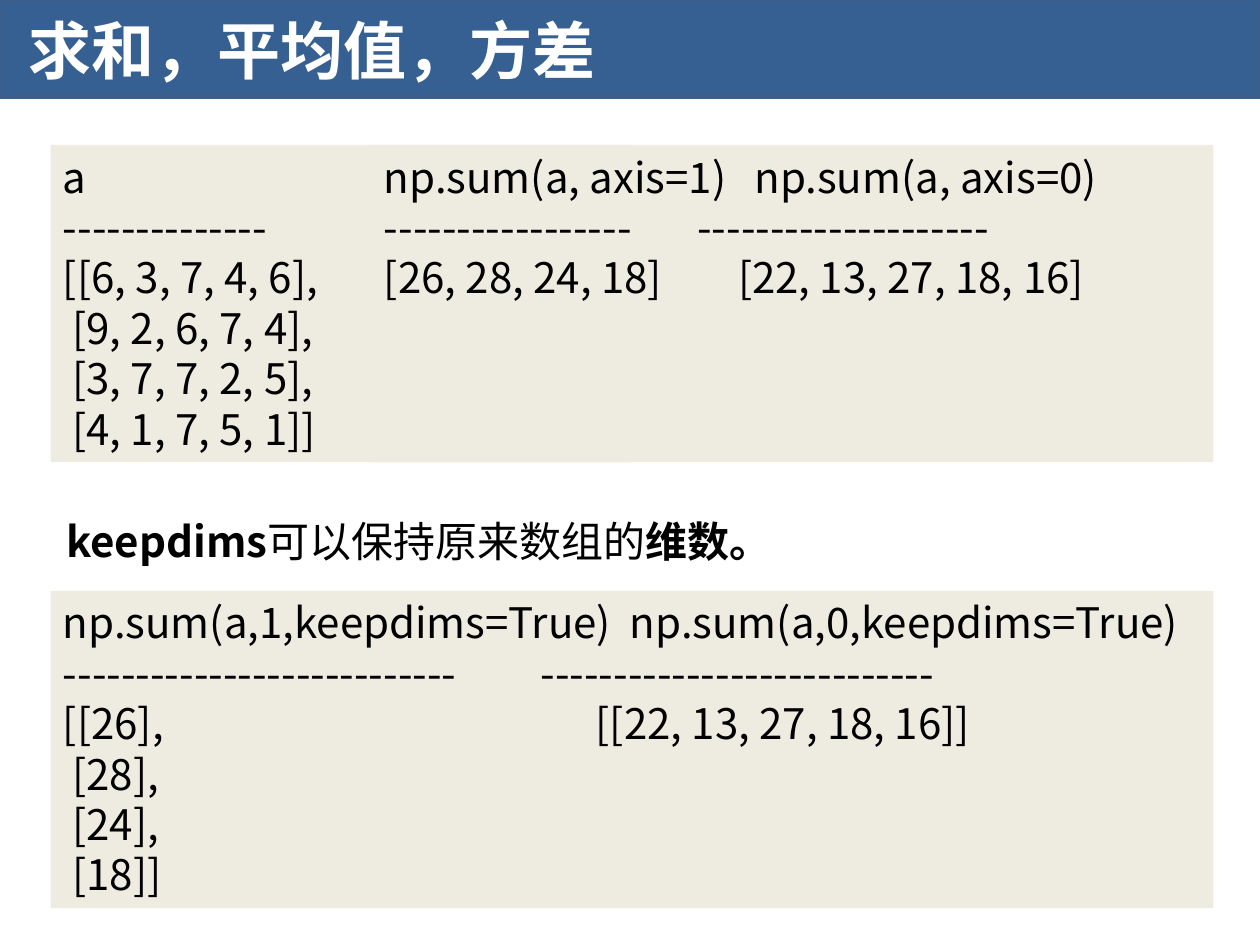
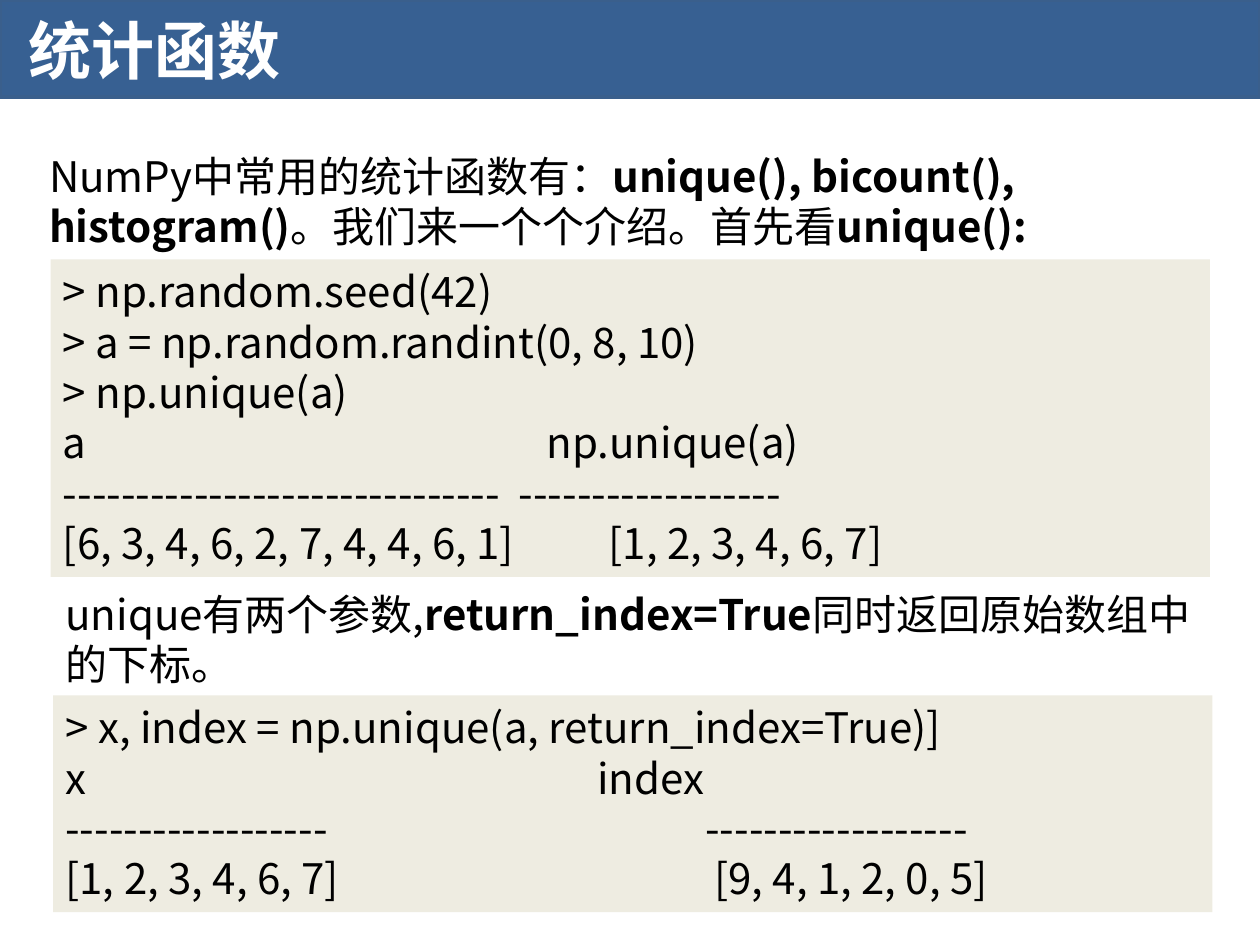
from lxml import etree
from pptx import Presentation
from pptx import util as u
from pptx.dml.color import RGBColor
from pptx.enum import shapes, text
from pptx.oxml.ns import qn

FONT = "Noto Sans CJK SC"
LINE_HEIGHT = 1.2
COLORS = {
    "band": "376092",
    "band_line": "3A5F8C",
    "panel": "EEECE1",
    "body": "000000",
    "title": "FFFFFF",
}
TITLE = {"size": 36, "color": "title"}
BODY = {"size": 24, "color": "body"}
FRAME = {
    "word_wrap": True,
    "auto_size": text.MSO_AUTO_SIZE.NONE,
    "vertical_anchor": text.MSO_ANCHOR.TOP,
}


def color(name):
    """Return the named colour."""
    return RGBColor.from_string(COLORS[name])


def set_attributes(target, values):
    """Set every attribute in a dict of format values."""
    for name, value in values.items():
        setattr(target, name, value)


def add_tab_stop(paragraph, position):
    """Give a paragraph one left tab stop, in centimetres."""
    properties = paragraph._p.get_or_add_pPr()
    stops = etree.SubElement(properties, qn("a:tabLst"))
    etree.SubElement(stops, qn("a:tab"), pos=str(u.Cm(position)), algn="l")


def add_runs(paragraph, runs, style):
    """Fill a paragraph with (wording, bold) runs."""
    set_attributes(paragraph, {
        "alignment": text.PP_ALIGN.LEFT,
        "line_spacing": u.Pt(style["size"] * LINE_HEIGHT),
    })
    for wording, bold in runs:
        run = paragraph.add_run()
        run.text = wording
        set_attributes(run.font, {"name": FONT, "size": u.Pt(style["size"]), "bold": bold})
        run.font.color.rgb = color(style["color"])
        etree.SubElement(run.font._element, qn("a:ea"), typeface=FONT)


def add_rectangle(slide, box, fill):
    """Add a flat, borderless rectangle."""
    shape = slide.shapes.add_shape(shapes.MSO_SHAPE.RECTANGLE, *map(u.Cm, box))
    shape.shadow.inherit = False
    shape.fill.solid()
    shape.fill.fore_color.rgb = color(fill)
    shape.line.fill.background()
    return shape


def add_text(slide, box, runs, style=BODY):
    """Add a text box with one paragraph of mixed runs."""
    frame = slide.shapes.add_textbox(*map(u.Cm, box)).text_frame
    set_attributes(frame, FRAME)
    add_runs(frame.paragraphs[0], runs, style)


def add_code_panel(slide, box, lines):
    """Add a code panel; a line is a string or (left, right, tab position)."""
    frame = add_rectangle(slide, box, "panel").text_frame
    set_attributes(frame, FRAME)
    for number, line in enumerate(lines):
        paragraph = frame.add_paragraph() if number else frame.paragraphs[0]
        if isinstance(line, str):
            add_runs(paragraph, [(line, False)], BODY)
        else:
            left, right, position = line
            add_runs(paragraph, [(f"{left}\t{right}", False)], BODY)
            add_tab_stop(paragraph, position)


def add_titled_slide(presentation, title):
    """Add a blank slide with the title band."""
    slide = presentation.slides.add_slide(presentation.slide_layouts[6])
    band = add_rectangle(slide, (0, 0, 25.4, 1.96), "band")
    band.line.color.rgb = color("band_line")
    band.line.width = u.Pt(2)
    add_text(slide, (0.33, 0.1, 17.17, 1.8), [(title, True)], TITLE)
    return slide


def build_sum_slide(presentation):
    """Build the slide on sums along an axis."""
    slide = add_titled_slide(presentation, "求和，平均值，方差")
    add_code_panel(slide, (1.02, 2.92, 11.68, 6.4), [
        "a",
        "-" * 14,
        "[[6, 3, 7, 4, 6],",
        " [9, 2, 6, 7, 4],",
        " [3, 7, 7, 2, 5],",
        " [4, 1, 7, 5, 1]]",
    ])
    add_code_panel(slide, (7.49, 2.92, 16.97, 6.4), [
        ("np.sum(a, axis=1)", "np.sum(a, axis=0)", 7.47),
        ("-" * 17, "-" * 20, 6.32),
        ("[26, 28, 24, 18]", "[22, 13, 27, 18, 16]", 7.14),
    ])
    add_text(slide, (1.09, 10.26, 23.37, 1.27), [
        ("keepdims", True), ("可以保持原来数组的", False), ("维数。", True),
    ])
    add_code_panel(slide, (1.02, 11.91, 23.44, 6.4), [
        ("np.sum(a,1,keepdims=True)", "np.sum(a,0,keepdims=True)", 11.43),
        ("-" * 27, "-" * 27, 9.63),
        ("[[26],", "[[22, 13, 27, 18, 16]]", 10.74),
        " [28],",
        " [24],",
        " [18]]",
    ])


def build_unique_slide(presentation):
    """Build the slide on statistical functions."""
    slide = add_titled_slide(presentation, "统计函数")
    add_text(slide, (0.74, 2.9, 23.37, 2.31), [
        ("NumPy中常用的统计函数有：", False),
        ("unique(), bicount(), histogram()", True),
        ("。我们来一个个介绍。首先看", False),
        ("unique():", True),
    ])
    add_code_panel(slide, (1.02, 5.23, 23.37, 6.4), [
        "> np.random.seed(42)",
        "> a = np.random.randint(0, 8, 10)",
        "> np.unique(a)",
        ("a", "np.unique(a)", 9.75),
        ("-" * 30, "-" * 18, 9.19),
        ("[6, 3, 4, 6, 2, 7, 4, 4, 6, 1]", "[1, 2, 3, 4, 6, 7]", 11),
    ])
    add_text(slide, (1.07, 11.73, 23.32, 2.31), [
        ("unique有两个参数,", False),
        ("return_index=True", True),
        ("同时返回原始数组中的下标。", False),
    ])
    add_code_panel(slide, (1.07, 14.02, 23.37, 4.37), [
        "> x, index = np.unique(a, return_index=True)]",
        ("x", "index", 10.72),
        ("-" * 18, "-" * 18, 12.9),
        ("[1, 2, 3, 4, 6, 7]", "[9, 4, 1, 2, 0, 5]", 13.08),
    ])


def main():
    """Build and save the presentation."""
    presentation = Presentation()
    set_attributes(presentation, {"slide_width": u.Cm(25.4), "slide_height": u.Cm(19.05)})
    build_sum_slide(presentation)
    build_unique_slide(presentation)
    presentation.save("out.pptx")


if __name__ == "__main__":
    main()
